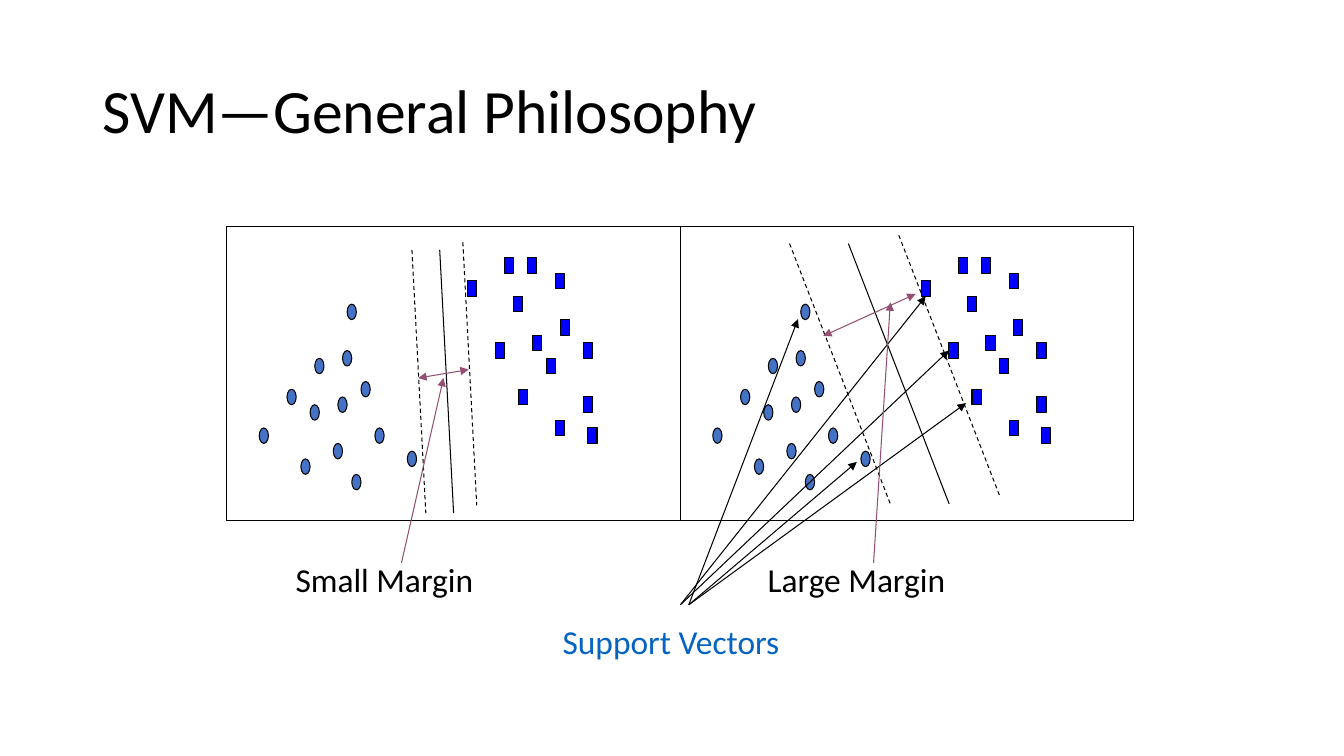
from dataclasses import dataclass
from typing import Optional

from lxml import etree
from pptx import Presentation, util as u
from pptx.dml.color import RGBColor
from pptx.enum import dml, shapes, text
from pptx.oxml import ns

COLORS = {"black": "000000", "circle": "4472C4", "square": "0000FF",
          "margin": "954F72", "support": "0563C1"}
FONT = "Calibri"


@dataclass(frozen=True)
class Grid:
    """Columns and rows in inches, counted from a top left corner."""
    left: float
    top: float
    col: float
    row: float

    def x(self, col: float) -> int:
        return u.Inches(self.left + col * self.col)

    def y(self, row: float) -> int:
        return u.Inches(self.top + row * self.row)

    def box(self, col: float, row: float, cols: float, rows: float) -> tuple:
        return (self.x(col), self.y(row),
                u.Inches(cols * self.col), u.Inches(rows * self.row))


@dataclass(frozen=True)
class Line:
    start: tuple
    end: tuple
    color: str = "black"
    dashed: bool = False
    head: bool = False
    tail: bool = False
    square: Optional[int] = None  # square in the right panel that the end joins
    side: int = 0


@dataclass(frozen=True)
class Label:
    text: str
    box: tuple
    size: float = 23.9
    color: str = "black"
    title: bool = False


PAGE = Grid(0, 0, 1 / 12, 1 / 12)
PANEL_COLS, PANEL_ROWS = 98, 38
PANEL_WIDTH, PANEL_HEIGHT = 54 / 12, 35 / 12
LEFT_PANEL, RIGHT_PANEL = (
    Grid(2.25 + i * PANEL_WIDTH, 2.25, PANEL_WIDTH / PANEL_COLS, PANEL_HEIGHT / PANEL_ROWS)
    for i in range(2))

CIRCLES = [(16, 30), (18, 23), (7, 26), (13, 21), (23, 28), (19, 17), (24, 22),
           (25, 16), (29, 20), (32, 26), (27, 32), (39, 29), (26, 10)]
SQUARES = [(58, 15), (52, 7), (60, 4), (63, 21), (62, 9), (66, 14), (65, 4),
           (71, 6), (69, 17), (72, 12), (71, 25), (77, 15), (77, 22), (78, 26)]

SMALL_BOUNDARY = [
    Line((51, 2), (54, 36), dashed=True),
    Line((40, 3), (43, 37), dashed=True),
    Line((46, 3), (49, 37)),
]
LARGE_BOUNDARY = [
    Line((94, 29), (106, 60), dashed=True),
    Line((107, 28), (119, 59), dashed=True),
    Line((101, 29), (113, 60)),
]
SUPPORT_ARROWS = [
    Line((81, 72), (110, 35), tail=True, square=1, side=2),
    Line((81, 72), (113, 42), tail=True, square=0, side=1),
    Line((82, 72), (115, 48), tail=True),
    Line((82, 72), (102, 55), tail=True),
    Line((82, 72), (95, 38), tail=True),
]
MARGIN_ARROWS = [
    Line((49.8, 45), (55.8, 44), "margin", head=True, tail=True),
    Line((47.8, 67), (52.8, 45), "margin", tail=True),
    Line((98, 40), (109, 35), "margin", head=True, tail=True),
    Line((104, 67), (106, 36), "margin", tail=True),
]
LABELS = [
    Label("SVM—General Philosophy", (11, 4.8, 138, 17.4), 44, title=True),
    Label("Support Vectors", (65.8, 73.4, 28.6, 6), color="support"),
    Label("Small Margin", (34, 66, 23.9, 6)),
    Label("Large Margin", (90.2, 66, 23.8, 6)),
]


def rgb(name: str) -> RGBColor:
    return RGBColor.from_string(COLORS[name])


def add_outlined(s, kind, box: tuple, fill: Optional[str] = None):
    sp = s.shapes.add_shape(kind, *box)
    sp.shadow.inherit = False
    if fill:
        sp.fill.solid()
        sp.fill.fore_color.rgb = rgb(fill)
    else:
        sp.fill.background()
    sp.line.color.rgb = rgb("black")
    sp.line.width = u.Pt(0.75)
    return sp


def add_line(s, grid: Grid, line: Line, squares: list) -> None:
    c = s.shapes.add_connector(shapes.MSO_CONNECTOR.STRAIGHT,
                               grid.x(line.start[0]), grid.y(line.start[1]),
                               grid.x(line.end[0]), grid.y(line.end[1]))
    if line.square is not None:
        c.end_connect(squares[line.square], line.side)
    c.line.color.rgb = rgb(line.color)
    c.line.width = u.Pt(0.75)
    if line.dashed:
        c.line.dash_style = dml.MSO_LINE.DASH
    ln = c.line._get_or_add_ln()
    for tag, shown in (("a:headEnd", line.head), ("a:tailEnd", line.tail)):
        if shown:
            etree.SubElement(ln, ns.qn(tag), type="triangle")
    etree.SubElement(c._element.spPr, ns.qn("a:effectLst"))


def add_panel(s, grid: Grid) -> list:
    """Draw both classes of points and the frame; return the squares."""
    for col, row in CIRCLES:
        add_outlined(s, shapes.MSO_SHAPE.OVAL, grid.box(col, row, 2, 2), "circle")
    squares = [add_outlined(s, shapes.MSO_SHAPE.RECTANGLE, grid.box(col, row, 2, 2), "square")
               for col, row in SQUARES]
    add_outlined(s, shapes.MSO_SHAPE.RECTANGLE, grid.box(0, 0, PANEL_COLS, PANEL_ROWS))
    return squares


def add_label(s, label: Label) -> None:
    tf = s.shapes.add_textbox(*PAGE.box(*label.box)).text_frame
    tf.word_wrap = label.title
    tf.text = label.text
    p = tf.paragraphs[0]
    if label.title:
        tf.vertical_anchor = text.MSO_ANCHOR.MIDDLE
        p.line_spacing = 0.9
    else:
        tf.auto_size = text.MSO_AUTO_SIZE.SHAPE_TO_FIT_TEXT
    r = p.runs[0]
    r.font.name = FONT
    r.font.size = u.Pt(label.size)
    r.font.color.rgb = rgb(label.color)


def main() -> None:
    prs = Presentation()
    prs.slide_width, prs.slide_height = PAGE.x(160), PAGE.y(90)
    s = prs.slides.add_slide(prs.slide_layouts[6])
    add_panel(s, LEFT_PANEL)
    squares = add_panel(s, RIGHT_PANEL)
    for line in SMALL_BOUNDARY:
        add_line(s, LEFT_PANEL, line, squares)
    for line in LARGE_BOUNDARY + SUPPORT_ARROWS + MARGIN_ARROWS:
        add_line(s, PAGE, line, squares)
    for label in LABELS:
        add_label(s, label)
    prs.save("out.pptx")


if __name__ == "__main__":
    main()
